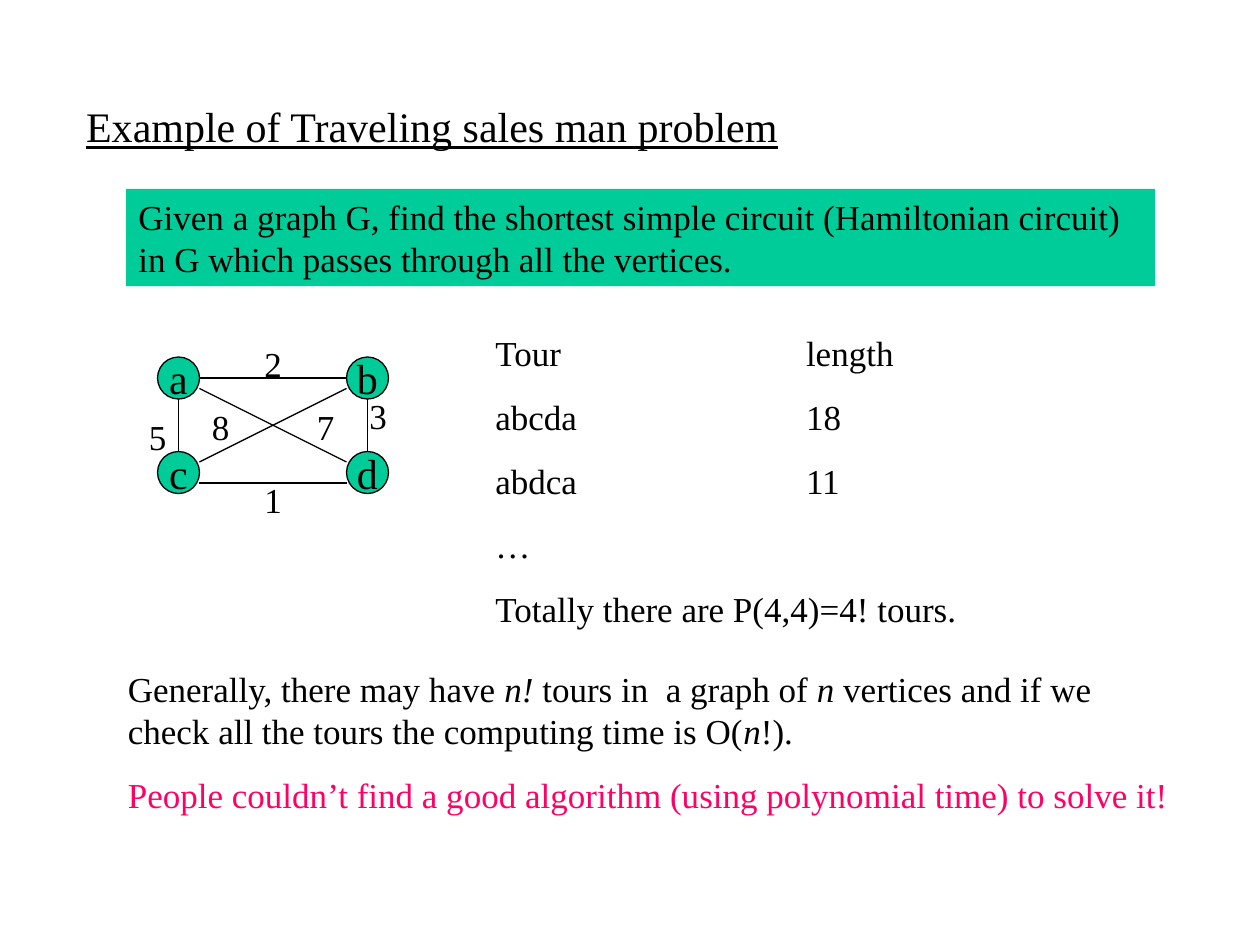
from dataclasses import dataclass

import pptx
import pptx.util
import pptx.dml.color
import pptx.enum.shapes
import pptx.enum.text
import pptx.oxml
import pptx.oxml.ns
from lxml import etree

Pt = pptx.util.Pt
RGB = pptx.dml.color.RGBColor


@dataclass(frozen=True)
class Theme:
    font: str = "Times New Roman"
    large: float = 24
    body: float = 20
    gap: float = 12.5
    line: float = 0.75
    ink: RGB = RGB(0x00, 0x00, 0x00)
    green: RGB = RGB(0x00, 0xCC, 0x99)
    pink: RGB = RGB(0xFF, 0x00, 0x66)


THEME = Theme()

NODE = 24
NODES = {"a": (90, 204), "b": (198, 204), "c": (90, 258), "d": (198, 258)}
EDGES = [
    (114, 216, 198, 216),
    (210, 228, 210, 258),
    (102, 228, 102, 258),
    (114, 276, 198, 276),
    (114, 222, 198, 264),
    (114, 264, 198, 222),
]
WEIGHTS = [("2", 144, 192), ("3", 204, 222), ("1", 144, 270),
           ("5", 78, 234), ("8", 114, 228), ("7", 174, 228)]
TOURS = ["Tour\tlength", "abcda\t18", "abdca\t11", "…",
         "Totally there are P(4,4)=4! tours."]
LENGTH_TAB = 177.5


def style(p, size=THEME.body, color=THEME.ink):
    for r in p.runs:
        r.font.name = THEME.font
        r.font.size = Pt(size)
        r.font.color.rgb = color


def add_tab(p, pos):
    """Give the paragraph one left tab stop."""
    qn = pptx.oxml.ns.qn
    tabs = etree.SubElement(p._p.get_or_add_pPr(), qn("a:tabLst"))
    etree.SubElement(tabs, qn("a:tab"), pos=str(Pt(pos)), algn="l")


def add_text(shapes, x, y, w, h, text):
    sp = shapes.add_textbox(Pt(x), Pt(y), Pt(w), Pt(h))
    tf = sp.text_frame
    tf.word_wrap = True
    tf.text = text
    for i, p in enumerate(tf.paragraphs):
        if i:
            p.space_before = Pt(THEME.gap)
        style(p)
    return sp


def add_title(s, text):
    sp = s.shapes.title
    sp.left, sp.top, sp.width, sp.height = Pt(42), Pt(54), Pt(432), Pt(36)
    tf = sp.text_frame
    tf.text = text
    tf.word_wrap = True
    tf.auto_size = pptx.enum.text.MSO_AUTO_SIZE.NONE
    tf.vertical_anchor = pptx.enum.text.MSO_ANCHOR.TOP
    p = tf.paragraphs[0]
    p.alignment = pptx.enum.text.PP_ALIGN.LEFT
    style(p, THEME.large)
    p.runs[0].font.underline = True


def add_problem(s, text):
    sp = add_text(s.shapes, 72, 108, 588, 55.5, text)
    sp.fill.solid()
    sp.fill.fore_color.rgb = THEME.green


def add_node(shapes, name, x, y):
    sp = shapes.add_shape(pptx.enum.shapes.MSO_SHAPE.OVAL,
                          Pt(x), Pt(y), Pt(NODE), Pt(NODE))
    sp.shadow.inherit = False
    sp.fill.solid()
    sp.fill.fore_color.rgb = THEME.green
    sp.line.color.rgb = THEME.ink
    sp.line.width = Pt(THEME.line)
    tf = sp.text_frame
    tf.text = name
    tf.word_wrap = False
    tf.vertical_anchor = pptx.enum.text.MSO_ANCHOR.MIDDLE
    p = tf.paragraphs[0]
    p.alignment = pptx.enum.text.PP_ALIGN.CENTER
    style(p, THEME.large)


def add_edge(shapes, x1, y1, x2, y2):
    cn = shapes.add_connector(pptx.enum.shapes.MSO_CONNECTOR.STRAIGHT,
                              Pt(x1), Pt(y1), Pt(x2), Pt(y2))
    cn.line.color.rgb = THEME.ink
    cn.line.width = Pt(THEME.line)
    etree.SubElement(cn._element.spPr, pptx.oxml.ns.qn("a:effectLst"))


def add_graph(s):
    shapes = s.shapes.add_group_shape().shapes
    for name, (x, y) in NODES.items():
        add_node(shapes, name, x, y)
    for edge in EDGES:
        add_edge(shapes, *edge)
    for weight, x, y in WEIGHTS:
        add_text(shapes, x, y, 24, 31.5, weight)


def add_tours(s):
    sp = add_text(s.shapes, 276, 186, 318, 177, "\n".join(TOURS))
    for p in sp.text_frame.paragraphs:
        if "\t" in p.text:
            add_tab(p, LENGTH_TAB)


def add_conclusion(s):
    sp = add_text(s.shapes, 66, 378, 612, 92,
                  "\nPeople couldn’t find a good algorithm "
                  "(using polynomial time) to solve it!")
    general, verdict = sp.text_frame.paragraphs
    parts = ["Generally, there may have ", "n!", " tours in  a graph of ", "n",
             " vertices and if we check all the tours the computing time is O(",
             "n", "!)."]
    for i, part in enumerate(parts):
        r = general.add_run()
        r.text = part
        r.font.italic = i % 2 == 1
    style(general)
    style(verdict, color=THEME.pink)


def main():
    prs = pptx.Presentation()
    prs.slide_width, prs.slide_height = Pt(720), Pt(540)
    s = prs.slides.add_slide(prs.slide_layouts.get_by_name("Title Only"))
    add_title(s, "Example of Traveling sales man problem")
    add_problem(s, "Given a graph G, find the shortest simple circuit "
                   "(Hamiltonian circuit) in G which passes through all "
                   "the vertices.")
    add_graph(s)
    add_tours(s)
    add_conclusion(s)
    prs.save("out.pptx")


if __name__ == "__main__":
    main()
